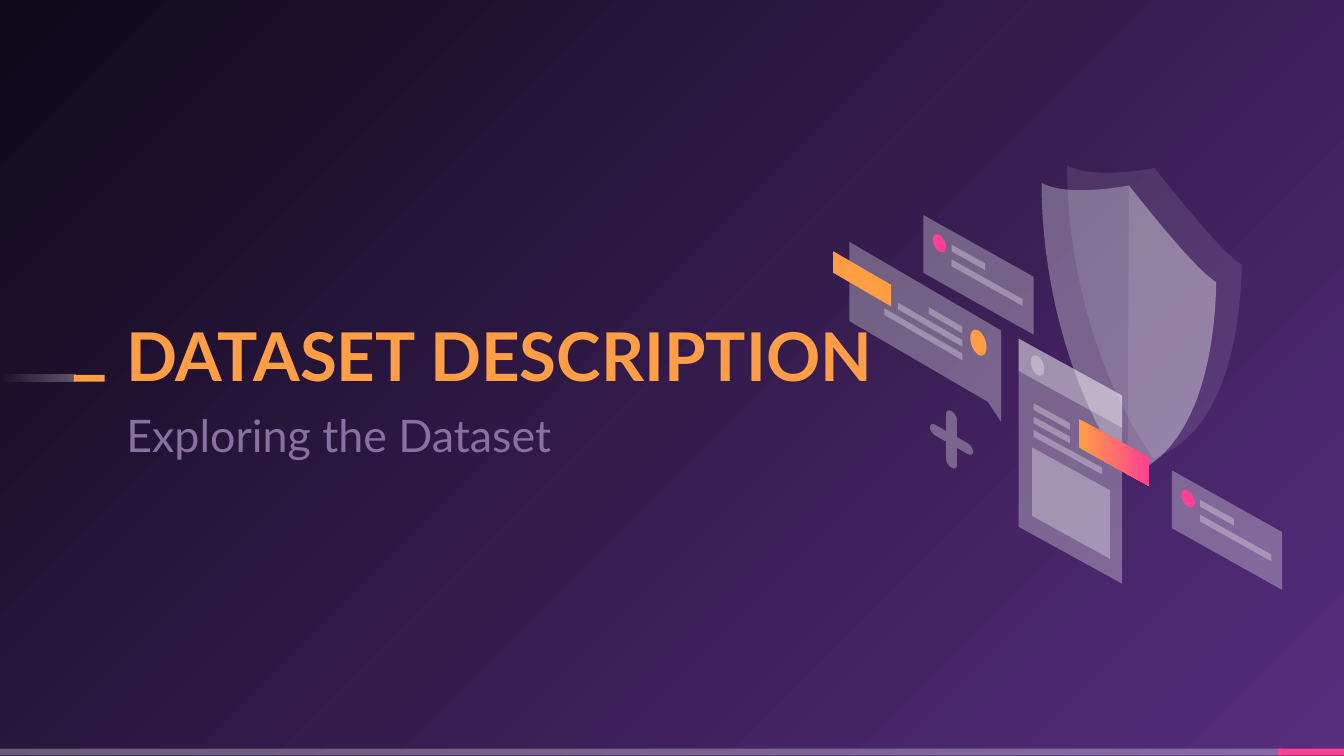
import math

from lxml import etree
from pptx import Presentation
from pptx.dml.color import RGBColor
from pptx.enum import shapes as kinds, text
from pptx.oxml.ns import qn
from pptx.util import Inches, Pt

WHITE = RGBColor(0xFF, 0xFF, 0xFF)
ORANGE = RGBColor(0xFF, 0x9E, 0x44)
PINK = RGBColor(0xFF, 0x40, 0x93)
LILAC = RGBColor(0x88, 0x70, 0xA0)
PURPLE = RGBColor(0x57, 0x2D, 0x7E)
NIGHT = RGBColor(0x0E, 0x09, 0x18)
FONT = "Lato"
GLASS = 30
FAINT = 10
BAR = 0.05


def set_alpha(colour_element, percent):
    alpha = etree.SubElement(colour_element, qn("a:alpha"))
    alpha.set("val", str(percent * 1000))


def paint(shape, colour, opacity=100):
    """Fill with one colour, without line or shadow."""
    shape.shadow.inherit = False
    shape.line.fill.background()
    shape.fill.solid()
    shape.fill.fore_color.rgb = colour
    if opacity < 100:
        set_alpha(shape._element.spPr.find(".//" + qn("a:srgbClr")), opacity)


def blend(fill, first, last):
    fill.gradient()
    for stop, colour in zip(fill.gradient_stops, (first, last)):
        stop.color.rgb = colour


def strip(shapes, left, top, width, colour, opacity=100):
    shape = shapes.add_shape(kinds.MSO_SHAPE.RECTANGLE, Inches(left), Inches(top),
                             Inches(width), Inches(BAR))
    paint(shape, colour, opacity)
    return shape


def outline(shapes, points, colour=WHITE, opacity=GLASS):
    corners = [(Inches(x), Inches(y)) for x, y in points]
    builder = shapes.build_freeform(*corners[0])
    builder.add_line_segments(corners[1:])
    shape = builder.convert_to_shape()
    paint(shape, colour, opacity)
    return shape


def slab(shapes, left, top, width, height, slope, colour=WHITE, opacity=GLASS):
    """Upright parallelogram whose long edges fall to the right."""
    right, drop = left + width, width * slope
    return outline(shapes, [(left, top), (right, top + drop),
                            (right, top + drop + height), (left, top + height)],
                   colour, opacity)


def dot(shapes, x, y, rx, ry, slope, colour=WHITE, opacity=100):
    """Ellipse slanted like the slabs."""
    turns = [math.radians(a) for a in range(0, 360, 10)]
    outline(shapes, [(x + rx * math.cos(t), y + ry * math.sin(t) + slope * rx * math.cos(t))
                     for t in turns], colour, opacity)


def trace(start, curves, steps=16):
    """Points along a chain of cubic curves."""
    points = [start]
    for a, b, end in curves:
        start = points[-1]
        for i in range(1, steps + 1):
            t = i / steps
            weights = ((1 - t) ** 3, 3 * t * (1 - t) ** 2, 3 * t * t * (1 - t), t ** 3)
            points.append(tuple(sum(w * p[axis] for w, p in zip(weights, (start, a, b, end)))
                                for axis in (0, 1)))
    return points


def draw_backdrop(slide):
    blend(slide.background.fill, PURPLE, NIGHT)
    gradient = slide._element.find(".//" + qn("a:gradFill"))
    gradient.remove(gradient.find(qn("a:lin")))
    radial = etree.SubElement(gradient, qn("a:path"), path="circle")
    etree.SubElement(radial, qn("a:fillToRect"), l="100000", t="100000")


def draw_footer(shapes, top, width):
    accent = 0.49
    strip(shapes, 0, top, 9.54, WHITE, GLASS)
    strip(shapes, width - accent, top, accent, PINK)


def draw_prompt(shapes, left, top):
    """Underscore cursor with a fading trail."""
    trail = strip(shapes, left, top, 0.56, WHITE)
    blend(trail.fill, WHITE, WHITE)
    trail.fill.gradient_angle = 0
    for colour, opacity in zip(trail._element.spPr.iter(qn("a:srgbClr")), (0, GLASS)):
        set_alpha(colour, opacity)
    strip(shapes, left + 0.55, top, 0.23, ORANGE)


def write_heading(holder, box, words, size, colour, anchor, spacing, after=0, bold=False):
    holder.left, holder.top, holder.width, holder.height = map(Inches, box)
    frame = holder.text_frame
    frame.margin_left = frame.margin_right = frame.margin_top = frame.margin_bottom = 0
    frame.word_wrap = True
    frame.auto_size = text.MSO_AUTO_SIZE.NONE
    frame.vertical_anchor = anchor
    line = frame.paragraphs[0]
    line.alignment = text.PP_ALIGN.LEFT
    line.line_spacing = spacing
    line.space_before, line.space_after = Pt(0), Pt(after)
    run = line.add_run()
    run.text = words
    run.font.name, run.font.size, run.font.bold = FONT, Pt(size), bold
    run.font.color.rgb = colour


def draw_card(shapes, left, top, slope=0.56):
    slab(shapes, left, top, 0.82, 0.43, slope)
    slab(shapes, left + 0.21, top + 0.22, 0.25, BAR, slope)
    slab(shapes, left + 0.21, top + 0.33, 0.53, BAR, slope)
    dot(shapes, left + 0.12, top + 0.21, 0.05, 0.06, slope, PINK)


def draw_shield(shapes, left, top, opacity, folded=False):
    def at(x, y):
        return left + x, top + y

    crest, tip = at(0.65, 0.02), at(0.64, 2.18)
    left_side = [(at(0.5, 0.05), at(0.15, 0.09), at(0, 0)),
                 (at(0, 0.61), at(0.15, 1.47), tip)]
    right_side = [(at(1.13, 2.02), at(1.29, 1.34), at(1.3, 0.74)),
                  (at(1.15, 0.65), at(0.81, 0.22), crest)]
    outline(shapes, trace(crest, left_side + right_side), opacity=opacity)
    if folded:
        outline(shapes, trace(tip, right_side), opacity=FAINT)


def draw_page(shapes, left, top, slope=0.55):
    slab(shapes, left, top, 0.77, 1.4, slope)
    slab(shapes, left + 0.1, top + 0.81, 0.58, 0.51, slope)
    for row, width in enumerate((0.27, 0.27, 0.51)):
        slab(shapes, left + 0.11, top + 0.48 + 0.1 * row, width, BAR, slope)
    slab(shapes, left, top, 0.77, 0.24, slope)
    dot(shapes, left + 0.14, top + 0.2, 0.05, 0.07, slope, opacity=GLASS)
    button = slab(shapes, left + 0.45, top + 0.6, 0.52, 0.21, slope, ORANGE, 100)
    blend(button.fill, ORANGE, PINK)
    button.fill.gradient_angle = 0


def draw_bubble(shapes, left, top, slope=0.58):
    outline(shapes, [(left + x, top + y) for x, y in
                     ((0, 0), (1.13, 0.66), (1.13, 1.34), (1.03, 1.19), (0, 0.59))])
    slab(shapes, left - 0.12, top + 0.07, 0.43, 0.16, slope, ORANGE, 100)
    bars_right = left + 0.84
    for row, width in enumerate((0.25, 0.48, 0.58)):
        slab(shapes, bars_right - width, top + 0.63 + 0.1 * row - width * slope,
             width, BAR, slope)
    dot(shapes, left + 0.96, top + 0.75, 0.06, 0.09, slope, ORANGE)


def draw_plus(shapes, x, y, slope=0.57):
    """Slanted plus with round arm ends, centred on x, y."""
    rx, ry = 0.04, 0.04
    points = []
    for quarter, (reach_x, reach_y) in enumerate(((0.12, 0), (0, 0.17), (-0.12, 0), (0, -0.17))):
        for angle in range(90 * quarter - 90, 90 * quarter + 91, 15):
            t = math.radians(angle)
            points.append((reach_x + rx * math.cos(t), reach_y + ry * math.sin(t)))
        corner = math.radians(90 * quarter + 45)
        points.append((math.copysign(rx, math.cos(corner)), math.copysign(ry, math.sin(corner))))
    outline(shapes, [(x + px, y + py + slope * px) for px, py in points])


def draw_security_scene(shapes, left, top):
    draw_card(shapes, left + 0.67, top + 0.37)
    draw_card(shapes, left + 2.52, top + 2.27)
    draw_shield(shapes, left + 1.74, top, FAINT)
    draw_shield(shapes, left + 1.55, top + 0.13, GLASS, folded=True)
    draw_page(shapes, left + 1.38, top + 1.29)
    draw_bubble(shapes, left + 0.12, top + 0.57)
    draw_plus(shapes, left + 0.88, top + 2.04)


def main():
    deck = Presentation()
    deck.slide_width = Inches(10)
    deck.slide_height = deck.slide_width * 9 // 16
    slide = deck.slides.add_slide(deck.slide_layouts[0])
    draw_backdrop(slide)
    draw_footer(slide.shapes, 5.57, 10)
    draw_prompt(slide.shapes, 0, 2.79)
    write_heading(slide.shapes.title, (0.94, 1.68, 5.59, 1.27), "DATASET DESCRIPTION",
                  36, ORANGE, text.MSO_ANCHOR.BOTTOM, 0.9, bold=True)
    write_heading(slide.placeholders[1], (0.94, 2.97, 5.59, 0.47), "Exploring the Dataset",
                  24, LILAC, text.MSO_ANCHOR.TOP, 1.15, after=8)
    draw_security_scene(slide.shapes.add_group_shape().shapes, 6.2, 1.23)
    deck.save("out.pptx")


if __name__ == "__main__":
    main()
